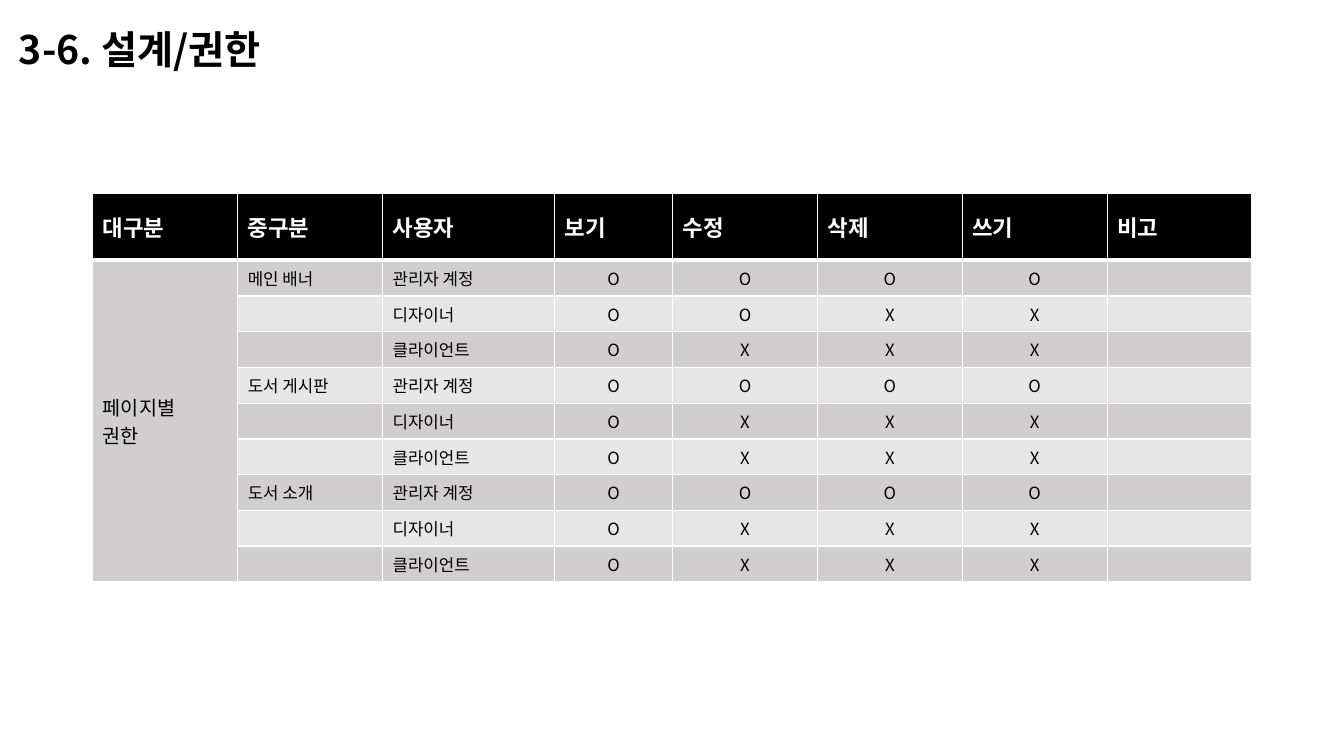
import dataclasses

import pptx
import pptx.dml.color
import pptx.enum.text
import pptx.oxml.ns
import pptx.util
from lxml import etree

Cm = pptx.util.Cm
Pt = pptx.util.Pt
LEFT = pptx.enum.text.PP_ALIGN.LEFT
CENTER = pptx.enum.text.PP_ALIGN.CENTER
MIDDLE = pptx.enum.text.MSO_ANCHOR.MIDDLE
qn = pptx.oxml.ns.qn

FONT = "Noto Sans CJK KR"
BLACK, WHITE = "000000", "FFFFFF"
DARK_BAND, LIGHT_BAND = "D0CECE", "E7E6E6"
HEADER_HEIGHT, ROW_HEIGHT = 1.68, 0.9


@dataclasses.dataclass(frozen=True)
class Column:
    heading: str
    width: float = 3.65


@dataclasses.dataclass(frozen=True)
class Permission:
    user: str
    marks: str
    page: str = ""


COLUMNS = [
    Column("대구분"),
    Column("중구분"),
    Column("사용자", 4.34),
    Column("보기", 2.97),
    Column("수정"),
    Column("삭제"),
    Column("쓰기"),
    Column("비고"),
]

PERMISSIONS = [
    Permission("관리자 계정", "OOOO", "메인 배너"),
    Permission("디자이너", "OOXX"),
    Permission("클라이언트", "OXXX"),
    Permission("관리자 계정", "OOOO", "도서 게시판"),
    Permission("디자이너", "OXXX"),
    Permission("클라이언트", "OXXX"),
    Permission("관리자 계정", "OOOO", "도서 소개"),
    Permission("디자이너", "OXXX"),
    Permission("클라이언트", "OXXX"),
]


def color(value: str) -> pptx.dml.color.RGBColor:
    return pptx.dml.color.RGBColor.from_string(value)


def write_text(text_frame, text: str, *, size: float, fill: str = BLACK,
               bold: bool = False, alignment=LEFT, line_spacing=None) -> None:
    for index, line in enumerate(text.split("\n")):
        paragraph = text_frame.add_paragraph() if index else text_frame.paragraphs[0]
        paragraph.alignment = alignment
        paragraph.line_spacing = line_spacing
        if not line:
            etree.SubElement(paragraph._p, qn("a:endParaRPr"), sz=str(round(size * 100)))
            continue
        run = paragraph.add_run()
        run.text = line
        run.font.name = FONT
        run.font.size = Pt(size)
        run.font.bold = bold
        run.font.color.rgb = color(fill)
        east_asian = etree.SubElement(run.font._element, qn("a:ea"))
        east_asian.set("typeface", FONT)


def set_borders(cell, **widths: float) -> None:
    properties = cell._tc.get_or_add_tcPr()
    for side in ("L", "R", "T", "B"):
        line = etree.SubElement(properties, qn(f"a:ln{side}"))
        line.set("w", str(Pt(widths.get(side, 1))))
        solid = etree.SubElement(line, qn("a:solidFill"))
        etree.SubElement(solid, qn("a:srgbClr"), val=WHITE)


def format_cell(cell, text: str, background: str, *, top: float = 1,
                bottom: float = 1, **text_format) -> None:
    set_borders(cell, T=top, B=bottom)
    cell.fill.solid()
    cell.fill.fore_color.rgb = color(background)
    cell.vertical_anchor = MIDDLE
    write_text(cell.text_frame, text, **text_format)


def add_title(slide, text: str) -> None:
    title = slide.shapes.title
    title.left, title.top = Cm(0), Cm(0)
    title.width, title.height = Cm(33.87), Cm(2.59)
    title.text_frame.word_wrap = True
    title.text_frame.vertical_anchor = MIDDLE
    write_text(title.text_frame, text, size=28, bold=True, line_spacing=0.9)


def add_permission_table(slide) -> None:
    width = sum(column.width for column in COLUMNS)
    height = HEADER_HEIGHT + ROW_HEIGHT * len(PERMISSIONS)
    table = slide.shapes.add_table(
        len(PERMISSIONS) + 1, len(COLUMNS), Cm(2.34), Cm(4.88), Cm(width), Cm(height)
    ).table

    table.rows[0].height = Cm(HEADER_HEIGHT)
    for index, column in enumerate(COLUMNS):
        table.columns[index].width = Cm(column.width)
        format_cell(table.cell(0, index), column.heading, BLACK, bottom=3,
                    size=16, fill=WHITE, bold=True)

    table.cell(1, 0).merge(table.cell(len(PERMISSIONS), 0))
    for row, permission in enumerate(PERMISSIONS, start=1):
        table.rows[row].height = Cm(ROW_HEIGHT)
        top = 3 if row == 1 else 1
        band = DARK_BAND if row % 2 else LIGHT_BAND
        group = "페이지별\n권한" if row == 1 else ""
        format_cell(table.cell(row, 0), group, DARK_BAND, top=top,
                    size=14 if group else 12)
        texts = [permission.page, permission.user, *permission.marks, ""]
        for index, text in enumerate(texts, start=1):
            format_cell(table.cell(row, index), text, band, top=top, size=12,
                        alignment=CENTER if 3 <= index <= 6 else LEFT)


def main() -> None:
    presentation = pptx.Presentation()
    presentation.slide_width = Cm(33.87)
    presentation.slide_height = Cm(19.05)
    slide = presentation.slides.add_slide(presentation.slide_layouts[5])
    add_title(slide, " 3-6. 설계/권한")
    add_permission_table(slide)
    presentation.save("out.pptx")


if __name__ == "__main__":
    main()
